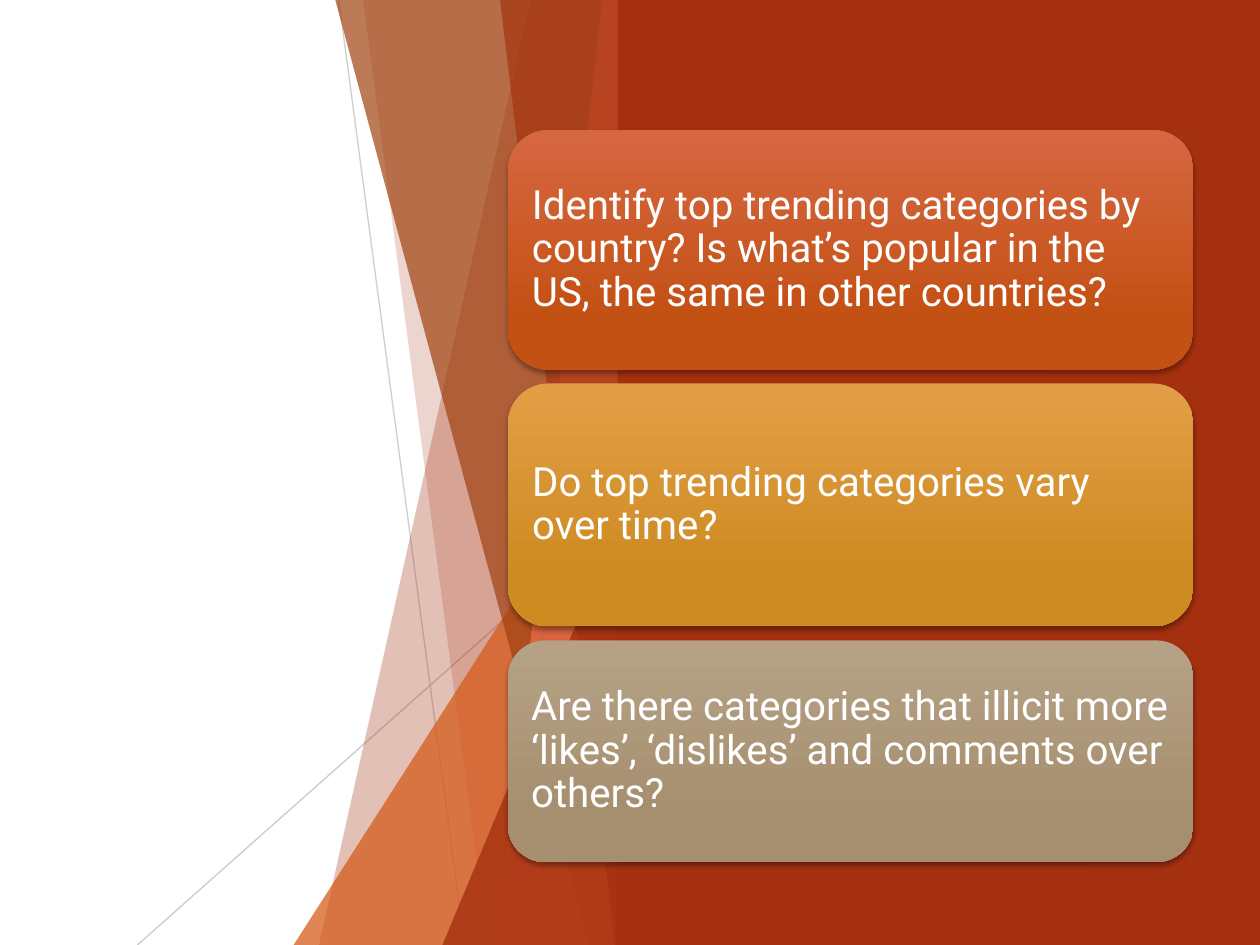
from dataclasses import dataclass

from lxml.etree import SubElement
from pptx import Presentation
from pptx.dml.color import RGBColor
from pptx.enum.shapes import MSO_CONNECTOR, MSO_SHAPE
from pptx.enum.text import MSO_ANCHOR, PP_ALIGN
from pptx.oxml.ns import qn
from pptx.util import Cm, Pt


@dataclass(frozen=True)
class Theme:
    """Colours, font and type size of the slide."""

    red: str = "A5300F"
    orange: str = "D55816"
    brown: str = "A04210"
    coral: str = "EE6E4A"
    grey: str = "BFBFBF"
    white: str = "FFFFFF"
    shadow: str = "000000"
    font: str = "Roboto"
    body: int = 23
    hairline: float = 0.75


THEME = Theme()
WIDTH, HEIGHT = 25.4, 19.05
FACET_EDGE = 12.7
PANEL_LEFT = 12.45
CARD_LEFT, CARD_TOP, CARD_WIDTH, CARD_GAP = 10.24, 2.62, 13.82, 0.28

RAYS = [
    ((6.83, 0), (9.37, HEIGHT), 75),
    ((FACET_EDGE, 10.24), (2.77, HEIGHT), 80),
]
FACETS = [
    ("band", 10.69, 6.43, THEME.red, 30),
    ("band", 7.32, 9.83, THEME.red, 20),
    ("wedge", 5.92, 8.46, THEME.orange, 72),
    ("band", 6.76, 11.89, THEME.brown, 70),
    ("band", 12.14, 10.01, THEME.coral, 70),
    ("band", 10.08, 12.4, THEME.red, 65),
    ("wedge", 8.92, 9.98, THEME.red, 80),
]
QUESTIONS = [
    ("Identify top trending categories by country? Is what’s popular in the US, "
     "the same in other countries?", 4.83, "D76741", "C35114"),
    ("Do top trending categories vary over time?", 4.9, "E29E46", "CE8B22"),
    ("Are there categories that illicit more ‘likes’, ‘dislikes’ and comments "
     "over others?", 4.47, "B5A286", "A68F6F"),
]


def set_opacity(shape, percent):
    """Make the explicit colour of a shape or line translucent."""
    for colour in shape._element.spPr.iter(qn("a:srgbClr")):
        SubElement(colour, qn("a:alpha"), val=str(percent * 1000))


def paint(shape, colour, opacity=100):
    """Give a shape a plain fill without outline or shadow."""
    shape.shadow.inherit = False
    shape.line.fill.background()
    shape.fill.solid()
    shape.fill.fore_color.rgb = RGBColor.from_string(colour)
    if opacity < 100:
        set_opacity(shape, opacity)


def add_ray(page, start, end, opacity):
    """Draw a thin grey line between two points."""
    ray = page.shapes.add_connector(
        MSO_CONNECTOR.STRAIGHT, *map(Cm, start), *map(Cm, end))
    ray.line.width = Pt(THEME.hairline)
    ray.line.color.rgb = RGBColor.from_string(THEME.grey)
    set_opacity(ray, opacity)
    SubElement(ray._element.spPr, qn("a:effectLst"))


def add_band(page, top_x, bottom_x, colour, opacity):
    """Draw a full-height facet whose left side slants."""
    outline = page.shapes.build_freeform(Cm(top_x), 0)
    outline.add_line_segments([
        (Cm(FACET_EDGE), 0),
        (Cm(FACET_EDGE), Cm(HEIGHT)),
        (Cm(bottom_x), Cm(HEIGHT)),
    ])
    paint(outline.convert_to_shape(), colour, opacity)


def add_wedge(page, left, top, colour, opacity):
    """Draw a triangle with its apex at the right, standing on the slide's foot."""
    wedge = page.shapes.add_shape(
        MSO_SHAPE.ISOSCELES_TRIANGLE, Cm(left), Cm(top),
        Cm(FACET_EDGE - left), Cm(HEIGHT - top))
    wedge.adjustments[0] = 1.0
    paint(wedge, colour, opacity)


def add_panel(page):
    """Draw the red panel over the right part of the slide."""
    panel = page.shapes.add_shape(
        MSO_SHAPE.RECTANGLE, Cm(PANEL_LEFT), 0,
        Cm(WIDTH - PANEL_LEFT), Cm(HEIGHT))
    paint(panel, THEME.red)


def shade(card, upper, lower):
    """Give a card a downward gradient and a soft shadow."""
    card.line.fill.background()
    card.fill.gradient()
    card.fill.gradient_angle = 270
    for stop, position, colour in zip(
            card.fill.gradient_stops, (0, 0.78), (upper, lower)):
        stop.position = position
        stop.color.rgb = RGBColor.from_string(colour)
    card.shadow.inherit = False
    effects = card._element.spPr.find(qn("a:effectLst"))
    shadow = SubElement(
        effects, qn("a:outerShdw"), blurRad=str(Pt(3)), dist=str(Pt(2)),
        dir="5400000", algn="ctr", rotWithShape="0")
    colour = SubElement(shadow, qn("a:srgbClr"), val=THEME.shadow)
    SubElement(colour, qn("a:alpha"), val="35000")


def add_card(page, top, question, height, upper, lower):
    """Draw a rounded card that holds one question."""
    card = page.shapes.add_shape(
        MSO_SHAPE.ROUNDED_RECTANGLE, Cm(CARD_LEFT), Cm(top),
        Cm(CARD_WIDTH), Cm(height))
    shade(card, upper, lower)
    frame = card.text_frame
    frame.text = question
    frame.word_wrap = True
    frame.vertical_anchor = MSO_ANCHOR.MIDDLE
    frame.margin_left = frame.margin_right = Cm(0.25)
    frame.margin_top = frame.margin_bottom = Cm(0.25)
    para = frame.paragraphs[0]
    para.alignment = PP_ALIGN.LEFT
    para.line_spacing = 0.9
    font = para.runs[0].font
    font.name = THEME.font
    font.size = Pt(THEME.body)
    font.color.rgb = RGBColor.from_string(THEME.white)


def main():
    """Build the slide and save it."""
    deck = Presentation()
    deck.slide_width, deck.slide_height = Cm(WIDTH), Cm(HEIGHT)
    page = deck.slides.add_slide(deck.slide_layouts[6])
    for ray in RAYS:
        add_ray(page, *ray)
    draw = {"band": add_band, "wedge": add_wedge}
    for kind, *facet in FACETS:
        draw[kind](page, *facet)
    add_panel(page)
    top = CARD_TOP
    for question, height, upper, lower in QUESTIONS:
        add_card(page, top, question, height, upper, lower)
        top += height + CARD_GAP
    deck.save("out.pptx")


if __name__ == "__main__":
    main()
